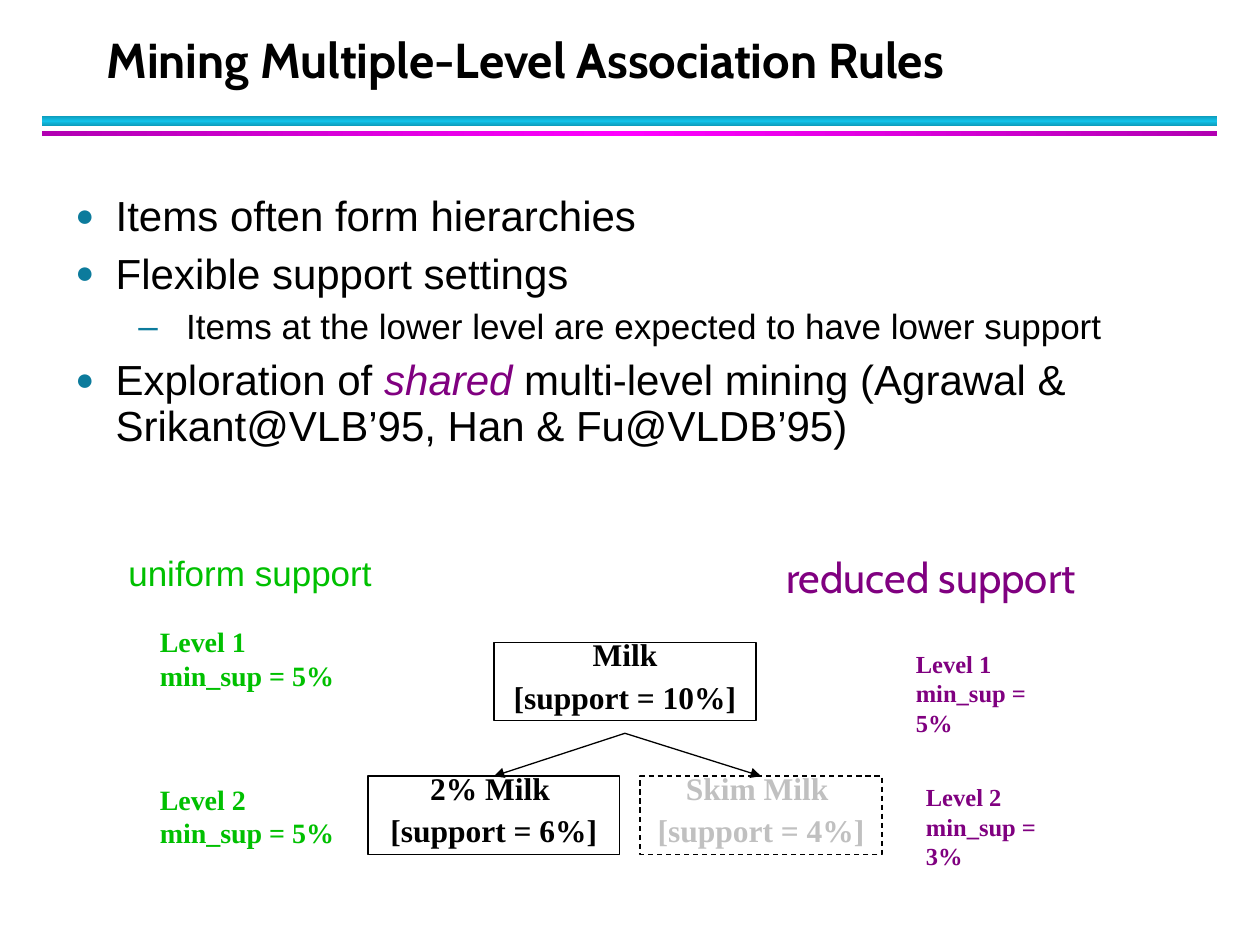
import copy

import pptx
import pptx.dml.color
import pptx.enum.dml
import pptx.enum.shapes
import pptx.enum.text
import pptx.oxml
import pptx.oxml.ns
import pptx.util

Inches = pptx.util.Inches
Pt = pptx.util.Pt
RGBColor = pptx.dml.color.RGBColor
PP_ALIGN = pptx.enum.text.PP_ALIGN
MSO_ANCHOR = pptx.enum.text.MSO_ANCHOR
RECTANGLE = pptx.enum.shapes.MSO_SHAPE.RECTANGLE
qn = pptx.oxml.ns.qn

BLACK = RGBColor(0x00, 0x00, 0x00)
WHITE = RGBColor(0xFF, 0xFF, 0xFF)
GREEN = RGBColor(0x00, 0xC0, 0x00)
PURPLE = RGBColor(0x80, 0x00, 0x80)
SILVER = RGBColor(0xC0, 0xC0, 0xC0)
TEAL = RGBColor(0x0C, 0x7B, 0x9C)
CYAN_DARK = RGBColor(0x0E, 0x9B, 0xBA)
CYAN = RGBColor(0x12, 0xC2, 0xE9)
MAGENTA_DARK = RGBColor(0xB2, 0x00, 0xB2)
MAGENTA = RGBColor(0xFF, 0x00, 0xFF)

SERIF = "Times New Roman"


def add_xml(parent, xml):
    """Append a DrawingML element, given without its namespace declaration."""
    ns = pptx.oxml.ns.nsdecls("a")
    tag, rest = xml.split(" ", 1)
    parent.append(pptx.oxml.parse_xml(f"{tag} {ns} {rest}"))


def write(p, text, size, font, color, para=None, **font_values):
    """Add a run to p, with paragraph format values from the dict para."""
    for name, value in (para or {}).items():
        setattr(p, name, value)
    r = p.add_run()
    r.text = text
    r.font.color.rgb = color
    for name, value in dict(size=Pt(size), name=font, **font_values).items():
        setattr(r.font, name, value)


prs = pptx.Presentation()
prs.slide_width, prs.slide_height = Inches(10), Inches(7.5)
s = prs.slides.add_slide(prs.slide_layouts[6])
shapes = s.shapes

# Double rule under the title
for top, height, edge, middle, angle in [
    (0.92, 0.08, CYAN_DARK, CYAN, 90),
    (1.04, 0.04, MAGENTA_DARK, MAGENTA, 0),
]:
    sp = shapes.add_shape(RECTANGLE, Inches(0.33), Inches(top), Inches(9.33), Inches(height))
    sp.shadow.inherit = False
    sp.line.fill.background()
    sp.fill.gradient()
    sp.fill.gradient_angle = angle
    stop_list = sp._element.spPr.find(qn("a:gradFill")).find(qn("a:gsLst"))
    stop_list.append(copy.deepcopy(stop_list[0]))
    for stop, position, color in zip(sp.fill.gradient_stops, (0, 0.5, 1), (edge, middle, edge)):
        stop.position = position
        stop.color.rgb = color

# Title
tf = shapes.add_textbox(Inches(0.75), Inches(0.17), Inches(8.55), Inches(0.58)).text_frame
tf.word_wrap = True
tf.vertical_anchor = MSO_ANCHOR.BOTTOM
write(tf.paragraphs[0], "Mining Multiple-Level Association Rules", 28, "Cabin", BLACK,
      {"line_spacing": Pt(36)}, bold=True)

# Bullets: level and runs of (text, colour, italic)
bullets = [
    (0, [("Items often form hierarchies", BLACK, False)]),
    (0, [("Flexible support settings", BLACK, False)]),
    (1, [("Items at the lower level are expected to have lower support", BLACK, False)]),
    (0, [("Exploration of ", BLACK, False),
         ("shared", PURPLE, True),
         (" multi-level mining (Agrawal & Srikant@VLB’95, Han & Fu@VLDB’95)", BLACK, False)]),
]
# For each level: size, space before, left margin, hanging indent, bullet, bullet size
levels = [(24, 3, 0.32, 0.32, "●", 75), (20, 2.5, 0.88, 0.38, "–", 100)]
tf = shapes.add_textbox(Inches(0.5), Inches(1.5), Inches(9.17), Inches(2.58)).text_frame
tf.word_wrap = True
for i, (level, runs) in enumerate(bullets):
    size, before, margin, hanging, mark, percent = levels[level]
    p = tf.paragraphs[0] if i == 0 else tf.add_paragraph()
    para = {"level": level, "line_spacing": 0.9, "space_before": Pt(before), "space_after": Pt(4)}
    for text, color, italic in runs:
        write(p, text, size, "Arial", color, para, italic=italic)
    pPr = p._p.get_or_add_pPr()
    pPr.set("marL", str(Inches(margin)))
    pPr.set("indent", str(-Inches(hanging)))
    add_xml(pPr, f'<a:buClr ><a:srgbClr val="{TEAL}"/></a:buClr>')
    add_xml(pPr, f'<a:buSzPct val="{percent * 1000}"/>')
    add_xml(pPr, '<a:buFont typeface="Arial"/>')
    add_xml(pPr, f'<a:buChar char="{mark}"/>')

# Support headings and level labels
for left, top, width, height, lines, size, font, color, bold in [
    (0.92, 4.33, 2.67, 0.58, ["uniform support"], 20, "Arial", GREEN, False),
    (6.14, 4.33, 2.81, 0.5, ["reduced support"], 24, "Cabin", PURPLE, False),
    (1.17, 4.91, 1.58, 0.64, ["Level 1", "min_sup = 5%"], 16, SERIF, GREEN, True),
    (1.17, 6.16, 1.58, 0.64, ["Level 2", "min_sup = 5%"], 16, SERIF, GREEN, True),
    (7.17, 5.1, 1.41, 0.57, ["Level 1", "min_sup = 5%"], 14, SERIF, PURPLE, True),
    (7.25, 6.16, 1.41, 0.57, ["Level 2", "min_sup = 3%"], 14, SERIF, PURPLE, True),
]:
    tf = shapes.add_textbox(Inches(left), Inches(top), Inches(width), Inches(height)).text_frame
    tf.word_wrap = False
    para = {"space_before": Pt(2.5)} if font == "Arial" else None
    for i, line in enumerate(lines):
        p = tf.paragraphs[0] if i == 0 else tf.add_paragraph()
        write(p, line, size, font, color, para, bold=bold)

# Item hierarchy
boxes = []
for left, top, width, lines, color in [
    (3.92, 5.1, 2.08, ["Milk", "[support = 10%]"], BLACK),
    (2.92, 6.16, 2, ["2% Milk ", "[support = 6%]"], BLACK),
    (5.08, 6.16, 1.92, ["Skim Milk ", "[support = 4%]"], SILVER),
]:
    sp = shapes.add_shape(RECTANGLE, Inches(left), Inches(top), Inches(width), Inches(0.62))
    sp.shadow.inherit = False
    sp.fill.solid()
    sp.fill.fore_color.rgb = WHITE
    sp.line.color.rgb = BLACK
    sp.line.width = Pt(0.75)
    tf = sp.text_frame
    tf.word_wrap = True
    tf.vertical_anchor = MSO_ANCHOR.TOP
    para = {"alignment": PP_ALIGN.CENTER, "line_spacing": 0.6, "space_before": Pt(11.2)}
    for i, line in enumerate(lines):
        p = tf.paragraphs[0] if i == 0 else tf.add_paragraph()
        write(p, line, 18, SERIF, color, para, bold=True)
    boxes.append(sp)

milk, two_percent, skim = boxes
skim.line.dash_style = pptx.enum.dml.MSO_LINE.DASH
add_xml(skim._element.spPr.find(qn("a:solidFill"))[0], '<a:alpha val="50000"/>')

# Arrows from below the parent item to the top of each child
for child in (two_percent, skim):
    line = shapes.add_connector(pptx.enum.shapes.MSO_CONNECTOR.STRAIGHT,
                                Inches(4.96), Inches(5.82), child.left, child.top)
    line.end_connect(child, 0)
    line.line.color.rgb = BLACK
    line.line.width = Pt(0.75)
    add_xml(line.line._get_or_add_ln(), '<a:tailEnd type="triangle"/>')
    add_xml(line._element.spPr, "<a:effectLst />")

prs.save("out.pptx")
